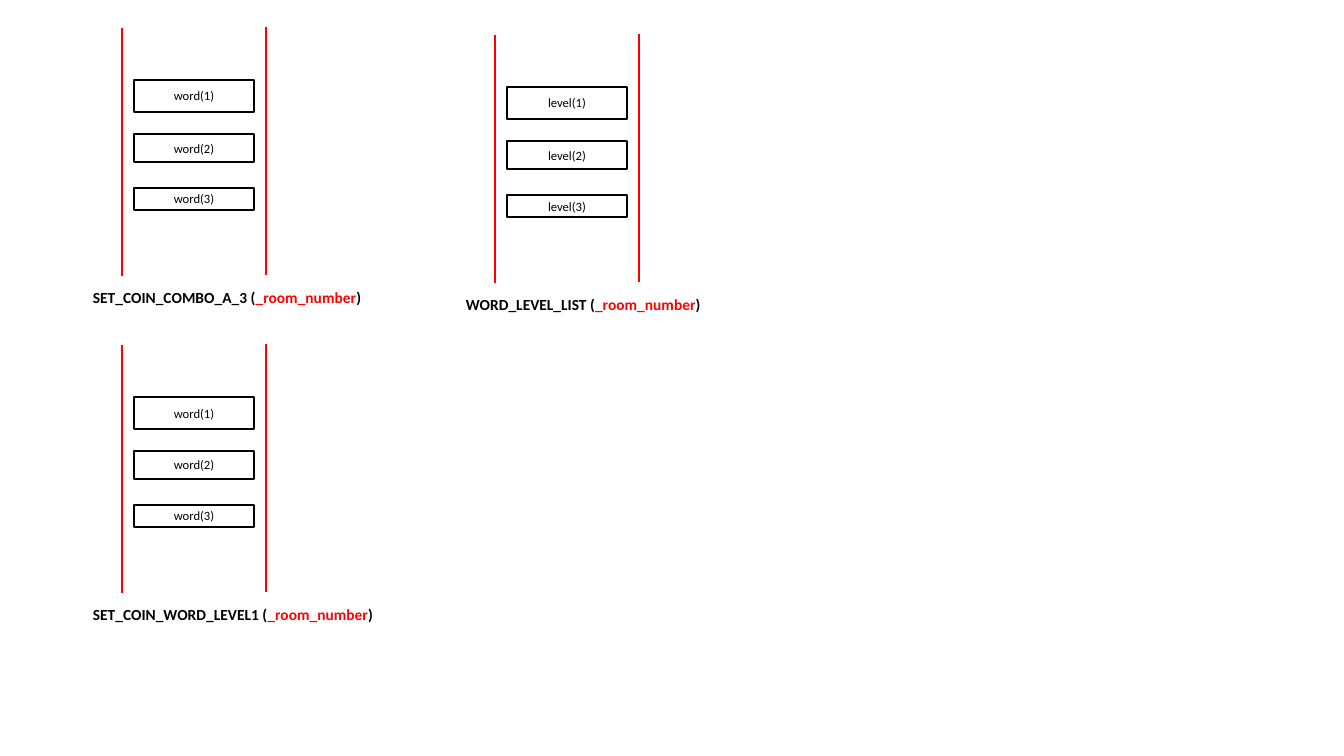
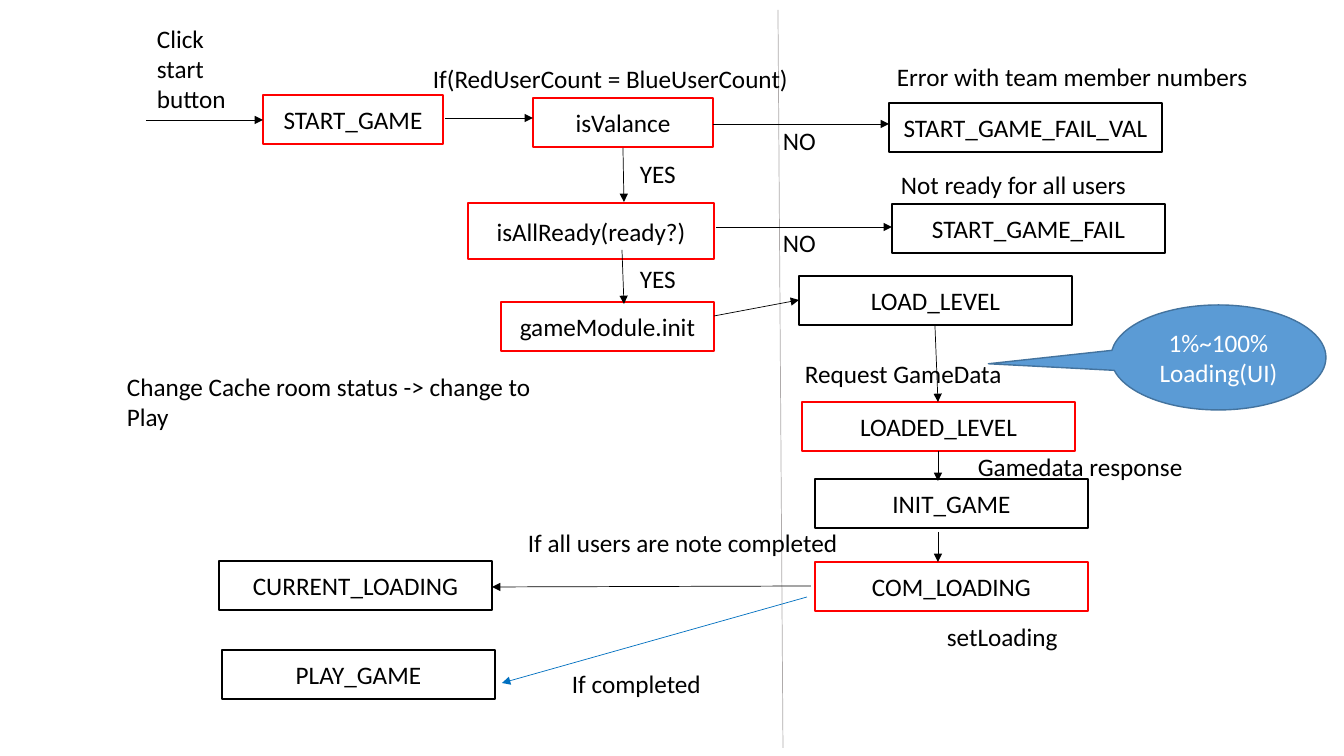
from lxml.etree import SubElement
from pptx import Presentation
from pptx.dml.color import RGBColor
from pptx.enum.shapes import MSO_CONNECTOR, MSO_SHAPE
from pptx.enum.text import MSO_ANCHOR, MSO_AUTO_SIZE, PP_ALIGN
from pptx.oxml.ns import qn
from pptx.util import Emu, Pt

PX = 914400 / 100.8
FONT = "Calibri"
BLACK = RGBColor(0x00, 0x00, 0x00)
WHITE = RGBColor(0xFF, 0xFF, 0xFF)
RED = RGBColor(0xFF, 0x00, 0x00)
GREY = RGBColor(0xAF, 0xAB, 0xAB)
BLUE = RGBColor(0x00, 0x70, 0xC0)
SKY = RGBColor(0x5B, 0x9B, 0xD5)
NAVY = RGBColor(0x43, 0x73, 0x9E)


def put(slide, text, at, kind=None, line=BLACK, fill=None,
        size=18, color=BLACK, bold=False):
    """Add text, in a shape if a kind is given; text is a string or (string, colour) runs."""
    spot = [Emu(round(n * PX)) for n in at]
    if kind is None:
        item = slide.shapes.add_textbox(*spot)
    else:
        item = slide.shapes.add_shape(kind, *spot)
        item.shadow.inherit = False
        item.line.color.rgb = line
        item.line.width = Pt(1)
        if fill is None:
            item.fill.background()
        else:
            item.fill.solid()
            item.fill.fore_color.rgb = fill
    frame = item.text_frame
    frame.word_wrap = True
    para = frame.paragraphs[0]
    if kind is None:
        frame.auto_size = MSO_AUTO_SIZE.SHAPE_TO_FIT_TEXT
    else:
        frame.vertical_anchor = MSO_ANCHOR.MIDDLE
        para.alignment = PP_ALIGN.CENTER
    for words, tint in [(text, color)] if isinstance(text, str) else text:
        run = para.add_run()
        run.text = words
        run.font.name = FONT
        run.font.size = Pt(size)
        run.font.bold = bold
        run.font.color.rgb = tint
    return item


def link(slide, ends, color=BLACK, width=0.5, arrow=True):
    """Draw a straight line, with an arrowhead at its end if wanted."""
    spot = [Emu(round(n * PX)) for n in ends]
    wire = slide.shapes.add_connector(MSO_CONNECTOR.STRAIGHT, *spot)
    wire.line.color.rgb = color
    wire.line.width = Pt(width)
    if arrow:
        SubElement(wire.line._get_or_add_ln(), qn("a:tailEnd"), type="triangle")
    SubElement(wire._element.spPr, qn("a:effectLst"))


deck = Presentation()
deck.slide_width = Emu(round(1344 * PX))
deck.slide_height = Emu(round(756 * PX))
blank = deck.slide_layouts[6]

# Slide 1: three lists, each between two red rails
lists = deck.slides.add_slide(blank)
for left, top, word, name in [
    (122, 28, "word", "SET_COIN_COMBO_A_3"),
    (122, 345, "word", "SET_COIN_WORD_LEVEL1"),
    (495, 35, "level", "WORD_LEVEL_LIST"),
]:
    for x, y in [(left, top), (left + 144, top - 1)]:
        link(lists, (x, y, x, y + 248), color=RED, width=2, arrow=False)
    for i, high in enumerate([32, 28, 22]):
        put(lists, f"{word}({i + 1})", (left + 12, top + 52 + 54 * i, 120, high),
            kind=MSO_SHAPE.RECTANGLE, size=9)
    put(lists, [(name + " (", BLACK), ("_room_number", RED), (")", BLACK)],
        (left - 39, top + 255, 325, 29), size=11, bold=True)

# Slide 2: start of a game, split by a grey line
flow = deck.slides.add_slide(blank)
link(flow, (778, 10, 783, 748), color=GREY, arrow=False)

# Steps
for text, x, y, wide, high, line in [
    ("START_GAME", 263, 95, 180, 49, RED),
    ("START_GAME_FAIL_VAL", 889, 103, 273, 49, BLACK),
    ("isValance", 533, 98, 180, 49, RED),
    ("isAllReady(ready?)", 468, 203, 246, 56, RED),
    ("START_GAME_FAIL", 892, 204, 273, 49, BLACK),
    ("LOAD_LEVEL", 799, 276, 273, 49, BLACK),
    ("gameModule.init", 501, 302, 213, 49, RED),
    ("LOADED_LEVEL", 802, 402, 273, 49, RED),
    ("INIT_GAME", 815, 479, 273, 49, BLACK),
    ("COM_LOADING", 815, 562, 273, 49, RED),
    ("CURRENT_LOADING", 219, 561, 273, 49, BLACK),
    ("PLAY_GAME", 222, 650, 273, 49, BLACK),
]:
    put(flow, text, (x, y, wide, high), kind=MSO_SHAPE.RECTANGLE, line=line)

# Arrows
for ends in [
    (146, 120, 263, 120),
    (445, 118, 533, 118),
    (713, 124, 889, 124),
    (623, 148, 624, 202),
    (716, 227, 892, 227),
    (622, 250, 624, 304),
    (714, 316, 799, 300),
    (935, 326, 938, 402),
    (938, 451, 938, 481),
    (938, 532, 938, 562),
    (811, 586, 492, 587),
]:
    link(flow, ends)
link(flow, (807, 597, 502, 683), color=BLUE)

# Notes beside the steps
for text, x, y, wide, high in [
    ("Click start button", 147, 18, 116, 102),
    ("If(RedUserCount = BlueUserCount)", 423, 58, 434, 40),
    ("Error with team member numbers", 887, 56, 434, 40),
    ("Not ready for all users", 891, 164, 434, 40),
    ("NO", 773, 120, 60, 40),
    ("NO", 773, 222, 60, 40),
    ("YES", 630, 153, 60, 40),
    ("YES", 630, 258, 60, 40),
    ("Change Cache room status -> change to Play", 117, 366, 434, 72),
    ("Request GameData", 795, 353, 434, 40),
    ("Gamedata response", 968, 446, 434, 40),
    ("If all users are note completed", 518, 522, 434, 40),
    ("setLoading", 937, 616, 434, 40),
    ("If completed", 562, 663, 434, 40),
]:
    put(flow, text, (x, y, wide, high))

# Loading callout
cloud = put(flow, "1%~100% Loading(UI)", (1111, 305, 215, 105),
            kind=MSO_SHAPE.OVAL_CALLOUT, line=NAVY, fill=SKY, color=WHITE)
cloud.adjustments[0] = -1.07
cloud.adjustments[1] = 0.06

deck.save("out.pptx")
